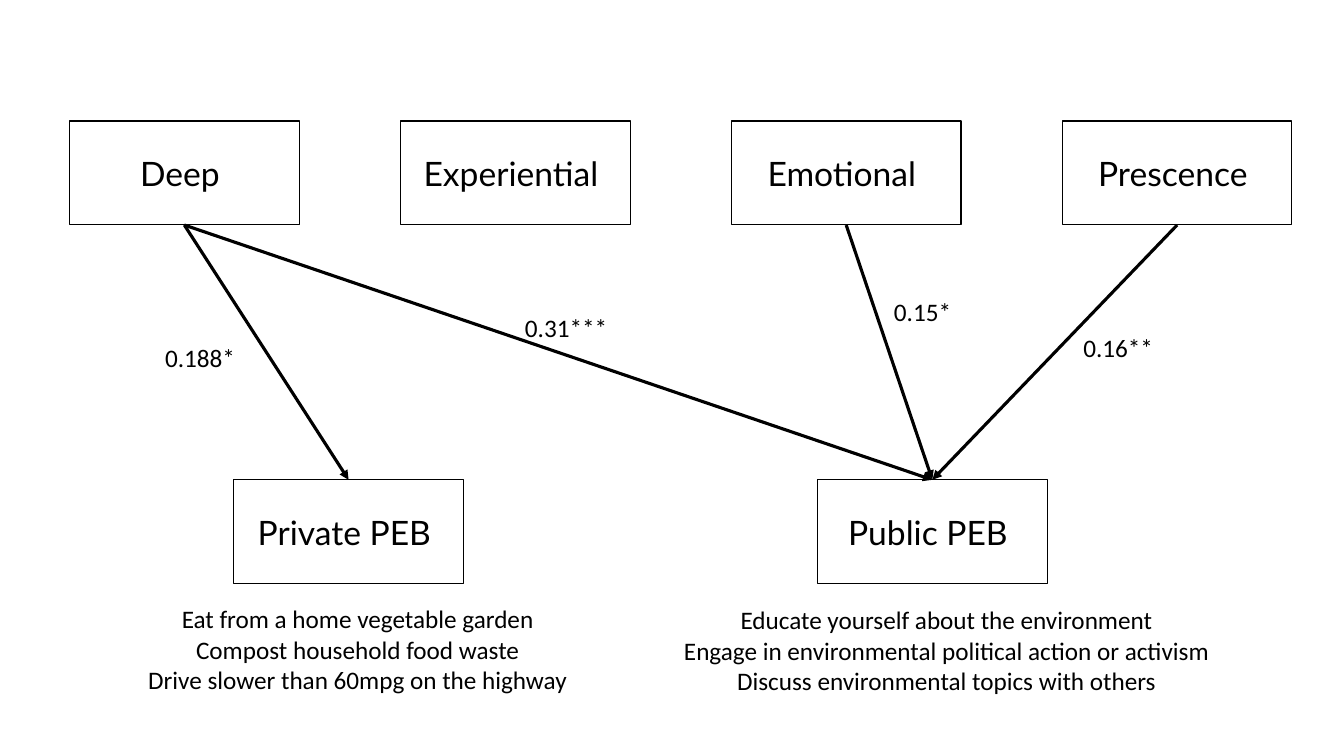
from lxml import etree
from pptx import Presentation
from pptx.dml.color import RGBColor
from pptx.enum.shapes import MSO_CONNECTOR, MSO_SHAPE
from pptx.enum.text import MSO_ANCHOR, MSO_AUTO_SIZE, PP_ALIGN
from pptx.oxml.ns import qn
from pptx.util import Cm, Pt

RECTANGLE = MSO_SHAPE.RECTANGLE
STRAIGHT = MSO_CONNECTOR.STRAIGHT
MIDDLE = MSO_ANCHOR.MIDDLE
GROW = MSO_AUTO_SIZE.SHAPE_TO_FIT_TEXT
LEFT, CENTER = PP_ALIGN.LEFT, PP_ALIGN.CENTER
TOP_SIDE, BOTTOM_SIDE = 0, 2

BLACK, WHITE = "000000", "FFFFFF"
BOX_WIDTH, BOX_HEIGHT = 5.79, 2.62
PREDICTOR_LEFT, PREDICTOR_TOP, PREDICTOR_PITCH = 1.75, 3.05, 8.34
OUTCOME_TOP = 12.09

PREDICTORS = ["Deep ", "Experiential ", "Emotional ", "Prescence "]
OUTCOMES = [("Private PEB ", 5.89), ("Public PEB ", 20.6)]
PATHS = [
    ("Deep ", "Public PEB "),
    ("Deep ", "Private PEB "),
    ("Emotional ", "Public PEB "),
    ("Prescence ", "Public PEB "),
]
COEFFICIENTS = [
    ("0.31***", 12.98, 7.75),
    ("0.15*", 22.28, 7.34),
    ("0.16**", 27.05, 8.26),
]
PUBLIC_BEHAVIOURS = [
    "Educate yourself about the environment",
    "Engage in environmental political action or activism",
    "Discuss environmental topics with others",
]
PRIVATE_BEHAVIOURS = [
    "Eat from a home vegetable garden",
    "Compost household food waste",
    "Drive slower than 60mpg on the highway",
]


def color(hex_value):
    """Turn a hex string into a colour."""
    return RGBColor.from_string(hex_value)


def write(shape, text, font, size, align):
    """Set the text of a shape and format every paragraph."""
    frame = shape.text_frame
    frame.text = text
    frame.word_wrap = True
    for para in frame.paragraphs:
        para.alignment = align
        for span in para.runs:
            span.font.name = font
            span.font.size = Pt(size)
            span.font.color.rgb = color(BLACK)


def add_box(page, text, left, top):
    """Add an outlined variable box."""
    box = page.shapes.add_shape(
        RECTANGLE, Cm(left), Cm(top), Cm(BOX_WIDTH), Cm(BOX_HEIGHT))
    box.shadow.inherit = False
    box.fill.background()
    box.line.color.rgb = color(BLACK)
    box.line.width = Pt(0.75)
    write(box, text, "Lato", 24, CENTER)
    box.text_frame.vertical_anchor = MIDDLE
    return box


def add_arrow(page, start, end):
    """Join the bottom of one box to the top of another."""
    arrow = page.shapes.add_connector(STRAIGHT, 0, 0, 0, 0)
    arrow.begin_connect(start, BOTTOM_SIDE)
    arrow.end_connect(end, TOP_SIDE)
    arrow.line.color.rgb = color(BLACK)
    arrow.line.width = Pt(2.25)
    etree.SubElement(arrow.line._get_or_add_ln(), qn("a:tailEnd"), type="triangle")
    etree.SubElement(arrow._element.spPr, qn("a:effectLst"))


def add_text(page, text, left, top, width, height, align=LEFT):
    """Add a text box that grows with its text."""
    label = page.shapes.add_textbox(Cm(left), Cm(top), Cm(width), Cm(height))
    write(label, text, "Calibri", 18, align)
    label.text_frame.auto_size = GROW
    return label


def main():
    """Build the path diagram and save it."""
    deck = Presentation()
    deck.slide_width, deck.slide_height = Cm(33.87), Cm(19.05)
    page = deck.slides.add_slide(deck.slide_layouts[6])

    boxes = {}
    for column, name in enumerate(PREDICTORS):
        left = PREDICTOR_LEFT + column * PREDICTOR_PITCH
        boxes[name] = add_box(page, name, left, PREDICTOR_TOP)
    for name, left in OUTCOMES:
        boxes[name] = add_box(page, name, left, OUTCOME_TOP)

    for start, end in PATHS:
        add_arrow(page, boxes[start], boxes[end])

    private_label = add_text(page, "0.188*", 3.91, 8.51, 2.49, 1.02)
    private_label.fill.solid()
    private_label.fill.fore_color.rgb = color(WHITE)
    for text, left, top in COEFFICIENTS:
        add_text(page, text, left, top, 3.2, 1.02)

    for lines, left, top in [(PUBLIC_BEHAVIOURS, 16.59, 15.11),
                             (PRIVATE_BEHAVIOURS, 1.75, 15.09)]:
        add_text(page, "\n".join(lines), left, top, 14.53, 2.57, CENTER)

    deck.save("out.pptx")


if __name__ == "__main__":
    main()
